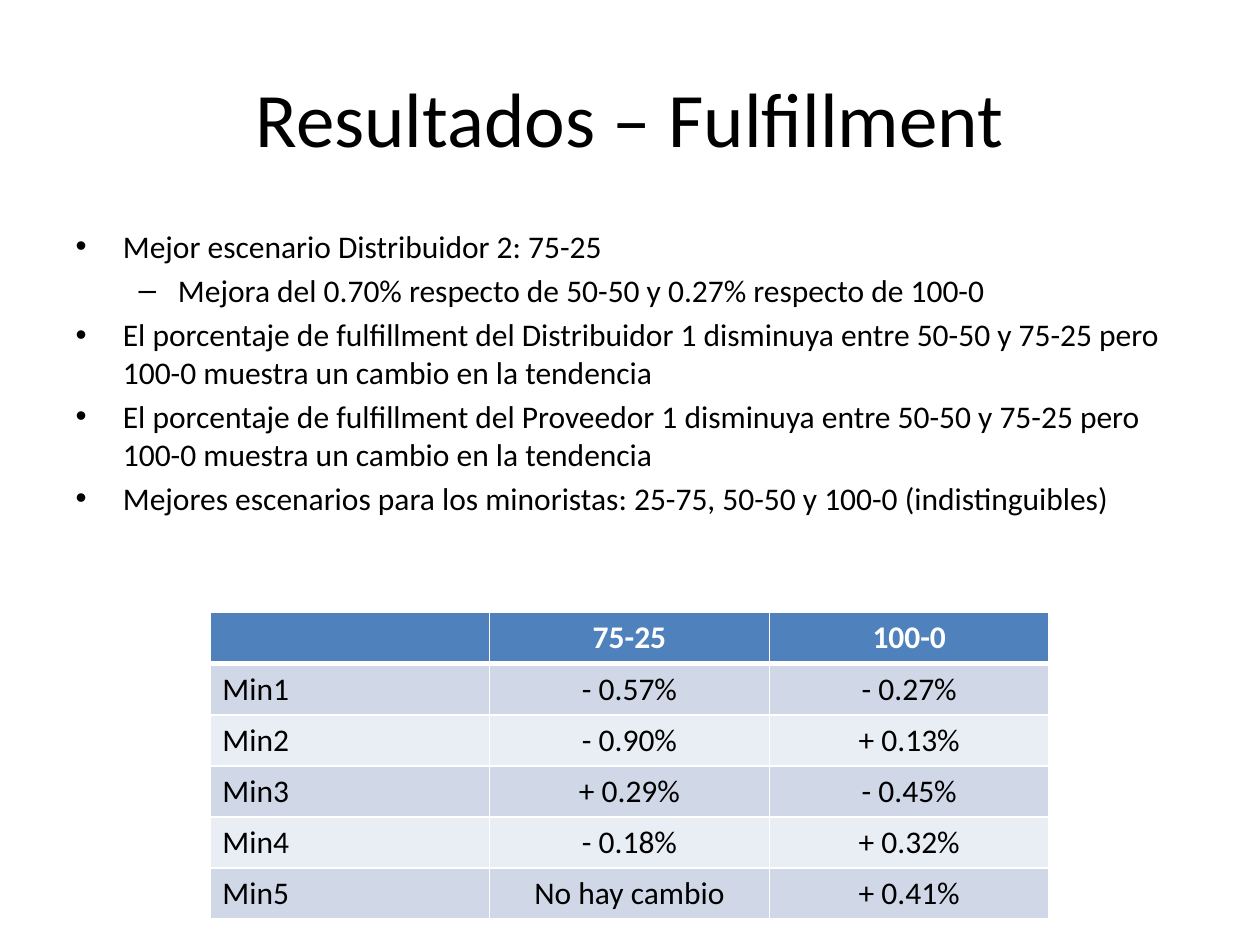
from lxml import etree
from pptx import Presentation
from pptx.dml.color import RGBColor
from pptx.enum.text import MSO_ANCHOR, PP_ALIGN
from pptx.oxml.ns import qn
from pptx.util import Cm, Pt

CENTER, LEFT = PP_ALIGN.CENTER, PP_ALIGN.LEFT
MIDDLE = MSO_ANCHOR.MIDDLE
BLACK = RGBColor(0x00, 0x00, 0x00)
WHITE = RGBColor(0xFF, 0xFF, 0xFF)
BLUE = RGBColor(0x4F, 0x81, 0xBD)
BAND_DARK = RGBColor(0xD0, 0xD8, 0xE8)
BAND_LIGHT = RGBColor(0xE9, 0xED, 0xF4)

TITLE_AND_CONTENT = 1
TITLE = "Resultados – Fulfillment"
FINDINGS = [
    (0, "Mejor escenario Distribuidor 2: 75-25"),
    (1, "Mejora del 0.70% respecto de 50-50 y 0.27% respecto de 100-0"),
    (0, "El porcentaje de fulfillment del Distribuidor 1 disminuya entre "
        "50-50 y 75-25 pero 100-0 muestra un cambio en la tendencia"),
    (0, "El porcentaje de fulfillment del Proveedor 1 disminuya entre "
        "50-50 y 75-25 pero 100-0 muestra un cambio en la tendencia"),
    (0, "Mejores escenarios para los minoristas: 25-75, 50-50 y 100-0 "
        "(indistinguibles)"),
]
RETAILER_CHANGES = [
    ("", "75-25", "100-0"),
    ("Min1", "- 0.57%", "- 0.27%"),
    ("Min2", "- 0.90%", "+ 0.13%"),
    ("Min3", "+ 0.29%", "- 0.45%"),
    ("Min4", "- 0.18%", "+ 0.32%"),
    ("Min5", "No hay cambio", "+ 0.41%"),
]


class SlideBuilder:
    def __init__(self, slide, font_name="Calibri", text_size=18):
        self.slide = slide
        self.font_name = font_name
        self.text_size = text_size

    def place(self, shape, left, top, width, height):
        box = {"left": left, "top": top, "width": width, "height": height}
        for name, value in box.items():
            setattr(shape, name, Cm(value))

    def format_text(self, paragraph, size=None, color=BLACK, bold=False):
        values = {"name": self.font_name, "size": Pt(size or self.text_size), "bold": bold}
        for name, value in values.items():
            setattr(paragraph.font, name, value)
        paragraph.font.color.rgb = color

    def title(self, text, box, size):
        shape = self.slide.shapes.title
        self.place(shape, *box)
        shape.text_frame.text = text
        paragraph = shape.text_frame.paragraphs[0]
        paragraph.alignment = CENTER
        self.format_text(paragraph, size)

    def bullets(self, items, box):
        shape = self.slide.placeholders[1]
        self.place(shape, *box)
        frame = shape.text_frame
        for index, (level, text) in enumerate(items):
            paragraph = frame.add_paragraph() if index else frame.paragraphs[0]
            paragraph.text = text
            paragraph.level = level
            paragraph.space_before = Pt(0.2 * self.text_size if index else 0)
            self.format_text(paragraph)

    def cell_borders(self, cell, widths):
        """Draw white borders; widths maps a side (L, R, T, B) to points."""
        properties = cell._tc.get_or_add_tcPr()
        for side, width in widths.items():
            line = etree.SubElement(properties, qn(f"a:ln{side}"), w=str(Pt(width)))
            fill = etree.SubElement(line, qn("a:solidFill"))
            etree.SubElement(fill, qn("a:srgbClr"), val=str(WHITE))

    def table(self, rows, left, top, column_width, row_height):
        row_count, column_count = len(rows), len(rows[0])
        table = self.slide.shapes.add_table(
            row_count, column_count, Cm(left), Cm(top),
            Cm(column_width * column_count), Cm(row_height * row_count)).table
        for column in table.columns:
            column.width = Cm(column_width)
        for row_index, texts in enumerate(rows):
            table.rows[row_index].height = Cm(row_height)
            header = row_index == 0
            band = BAND_DARK if row_index % 2 else BAND_LIGHT
            for column_index, text in enumerate(texts):
                cell = table.cell(row_index, column_index)
                self.cell_borders(cell, {"L": 1, "R": 1,
                                         "T": 3 if row_index == 1 else 1,
                                         "B": 3 if header else 1})
                cell.fill.solid()
                cell.fill.fore_color.rgb = BLUE if header else band
                cell.vertical_anchor = MIDDLE
                cell.text = text
                paragraph = cell.text_frame.paragraphs[0]
                paragraph.alignment = CENTER if column_index else LEFT
                self.format_text(paragraph, color=WHITE if header else BLACK, bold=header)


def main():
    presentation = Presentation()
    presentation.slide_width, presentation.slide_height = Cm(25.4), Cm(19.05)
    layout = presentation.slide_layouts[TITLE_AND_CONTENT]
    builder = SlideBuilder(presentation.slides.add_slide(layout))
    builder.title(TITLE, (1.27, 0.76, 22.86, 3.18), size=44)
    builder.bullets(FINDINGS, (1.27, 4.45, 22.86, 12.57))
    builder.table(RETAILER_CHANGES, left=4.23, top=12.35, column_width=5.64, row_height=1.03)
    presentation.save("out.pptx")


if __name__ == "__main__":
    main()
